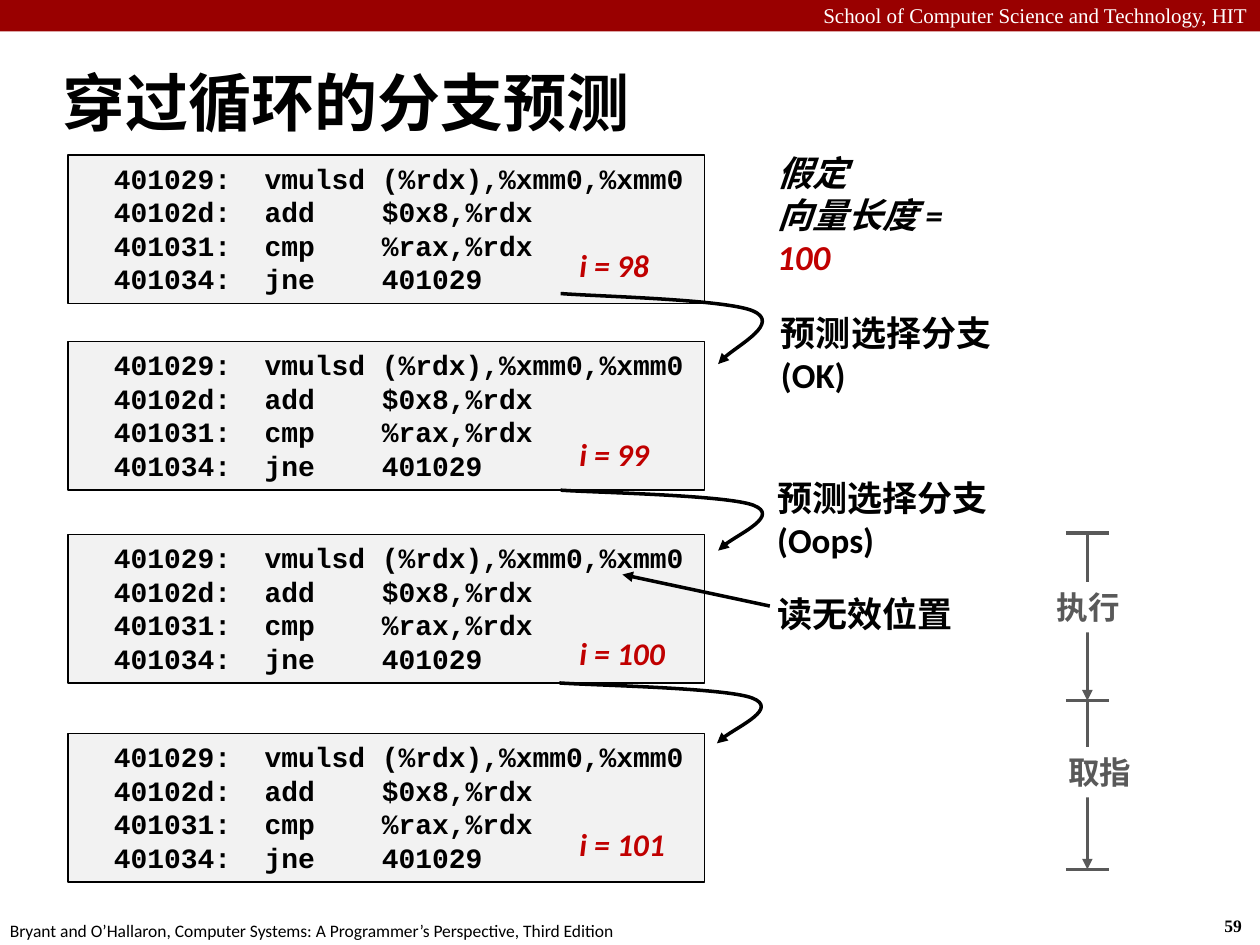
import pptx
import pptx.util
import pptx.dml.color
import pptx.enum.shapes
import pptx.enum.text
import pptx.oxml
from pptx.oxml.ns import qn
from pptx.util import Inches

# Content
HEADER = "School of Computer Science and Technology, HIT"
FOOTER = "Bryant and O’Hallaron, Computer Systems: A Programmer’s Perspective, Third Edition"
PAGE = "59"
TITLE = "穿过循环的分支预测"
CODE = [
    "  401029:  vmulsd (%rdx),%xmm0,%xmm0",
    "  40102d:  add    $0x8,%rdx",
    "  401031:  cmp    %rax,%rdx",
    "  401034:  jne    401029",
]
# Top of code box, iteration label, top and width of that label
ITERATIONS = [
    (1.23, "i = 98", 1.9, 0.76),
    (2.71, "i = 99", 3.4, 0.76),
    (4.24, "i = 100", 4.98, 0.89),
    (5.82, "i = 101", 6.5, 0.89),
]
# Left, top and height of the curved jumps
JUMPS = [(4.45, 2.33, 0.56), (4.45, 3.89, 0.48), (4.44, 5.42, 0.48)]
# Control points after the start: inches across, fraction of height down
JUMP_CURVE = [(0.26, 0.04), (1.32, 0.08), (1.53, 0.25),
              (1.74, 0.42), (1.31, 0.83), (1.25, 1)]
NOTES = [
    (6.1, 2.42, "预测选择分支(OK)"),
    (6.07, 3.73, "预测选择分支(Oops)"),
    (6.07, 4.65, "读无效位置"),
]
STAGE_X, STAGE_MARKS = 8.63, [4.23, 5.56, 6.9]
STAGES = [(8.29, 4.62, "执行"), (8.38, 5.93, "取指")]

BLACK, WHITE, RED, GREY = "000000", "FFFFFF", "C00000", "595959"

prs = pptx.Presentation()
prs.slide_width, prs.slide_height = Inches(10), Inches(7.5)
shapes = prs.slides.add_slide(prs.slide_layouts[6]).shapes


def rgb(value):
    return pptx.dml.color.RGBColor.from_string(value)


def write(sp, lines, size, color=BLACK, font="Calibri", bold=True,
          italic=False, wrap=True):
    tf = sp.text_frame
    tf.word_wrap = wrap
    tf.vertical_anchor = pptx.enum.text.MSO_ANCHOR.TOP
    for i, line in enumerate(lines):
        p = tf.paragraphs[0] if i == 0 else tf.add_paragraph()
        p.text = line
        p.alignment = pptx.enum.text.PP_ALIGN.LEFT
        p.font.name, p.font.size = font, pptx.util.Pt(size)
        p.font.bold, p.font.italic = bold, italic
        p.font.color.rgb = rgb(color)
    return tf


def text(x, y, w, h, lines, size, **style):
    return write(shapes.add_textbox(*map(Inches, (x, y, w, h))), lines, size, **style)


def rect(x, y, w, h, fill, line=None):
    sp = shapes.add_shape(pptx.enum.shapes.MSO_SHAPE.RECTANGLE,
                          *map(Inches, (x, y, w, h)))
    sp.shadow.inherit = False
    sp.fill.solid()
    sp.fill.fore_color.rgb = rgb(fill)
    if line:
        sp.line.color.rgb, sp.line.width = rgb(line), pptx.util.Pt(0.75)
    else:
        sp.line.fill.background()
    return sp


def stroke(sp, color, arrow):
    sp.line.color.rgb, sp.line.width = rgb(color), pptx.util.Pt(2)
    if arrow:
        pptx.oxml.xmlchemy.OxmlElement  # element factory used below
        tail = sp.line._get_or_add_ln().makeelement(qn("a:tailEnd"), {"type": "triangle"})
        sp.line._get_or_add_ln().append(tail)


def line(x1, y1, x2, y2, color, arrow=False):
    sp = shapes.add_connector(pptx.enum.shapes.MSO_CONNECTOR.STRAIGHT,
                              *map(Inches, (x1, y1, x2, y2)))
    stroke(sp, color, arrow)
    props = sp._element.spPr
    props.append(props.makeelement(qn("a:effectLst"), {}))


def jump(x, y, h):
    builder = shapes.build_freeform(Inches(x), Inches(y))
    builder.add_line_segments([(Inches(x + dx), Inches(y + h * f))
                               for dx, f in JUMP_CURVE], close=False)
    sp = builder.convert_to_shape()
    sp.shadow.inherit = False
    sp.fill.background()
    stroke(sp, BLACK, True)
    # Join each three segments into one cubic curve
    segments = list(sp._element.iter(qn("a:lnTo")))
    for i in range(0, len(segments), 3):
        curve = segments[i].makeelement(qn("a:cubicBezTo"), {})
        segments[i].addprevious(curve)
        for segment in segments[i:i + 3]:
            curve.append(segment[0])
            segment.getparent().remove(segment)


# Header band, footer and title
rect(0, 0, 10, 0.25, "990000")
tf = text(0, -0.03, 10, 0.3, [HEADER], 12, color=WHITE,
          font="Times New Roman", bold=False)
tf.paragraphs[0].alignment = pptx.enum.text.PP_ALIGN.RIGHT
text(9.62, 7.21, 0.37, 0.27, [PAGE], 10, font="Times New Roman", wrap=False)
text(-0.02, 7.25, 5.08, 0.27, [FOOTER], 10, bold=False, wrap=False)
tf = text(0.4, 0.49, 8.59, 0.63, [TITLE], 36)
tf.vertical_anchor = pptx.enum.text.MSO_ANCHOR.MIDDLE

# Loop iterations
for top, label, label_top, label_width in ITERATIONS:
    write(rect(0.54, top, 5.05, 1.18, "F2F2F2", BLACK), CODE, 16, font="Courier New")
    text(4.5, label_top, label_width, 0.4, [label], 18, color=RED,
         italic=True, wrap=False)
for place in JUMPS:
    jump(*place)

# Remarks on the right
tf = text(6.07, 1.15, 1.9, 0.77, ["假定", "向量长度 = "], 20, italic=True)
r = tf.paragraphs[1].add_run()
r.text = "100"
r.font.color.rgb = rgb(RED)
for x, y, note in NOTES:
    text(x, y, 1.9, 0.44, [note], 20)
line(6.11, 4.81, 4.94, 4.56, BLACK, arrow=True)

# Execute and fetch stages
for start, end in zip(STAGE_MARKS, STAGE_MARKS[1:]):
    line(STAGE_X, start, STAGE_X, end, GREY, arrow=True)
for y in STAGE_MARKS:
    line(STAGE_X - 0.17, y, STAGE_X + 0.17, y, GREY)
for x, y, stage in STAGES:
    write(rect(x, y, 0.71, 0.4, WHITE), [stage], 18, color=GREY, wrap=False)

prs.save("out.pptx")
